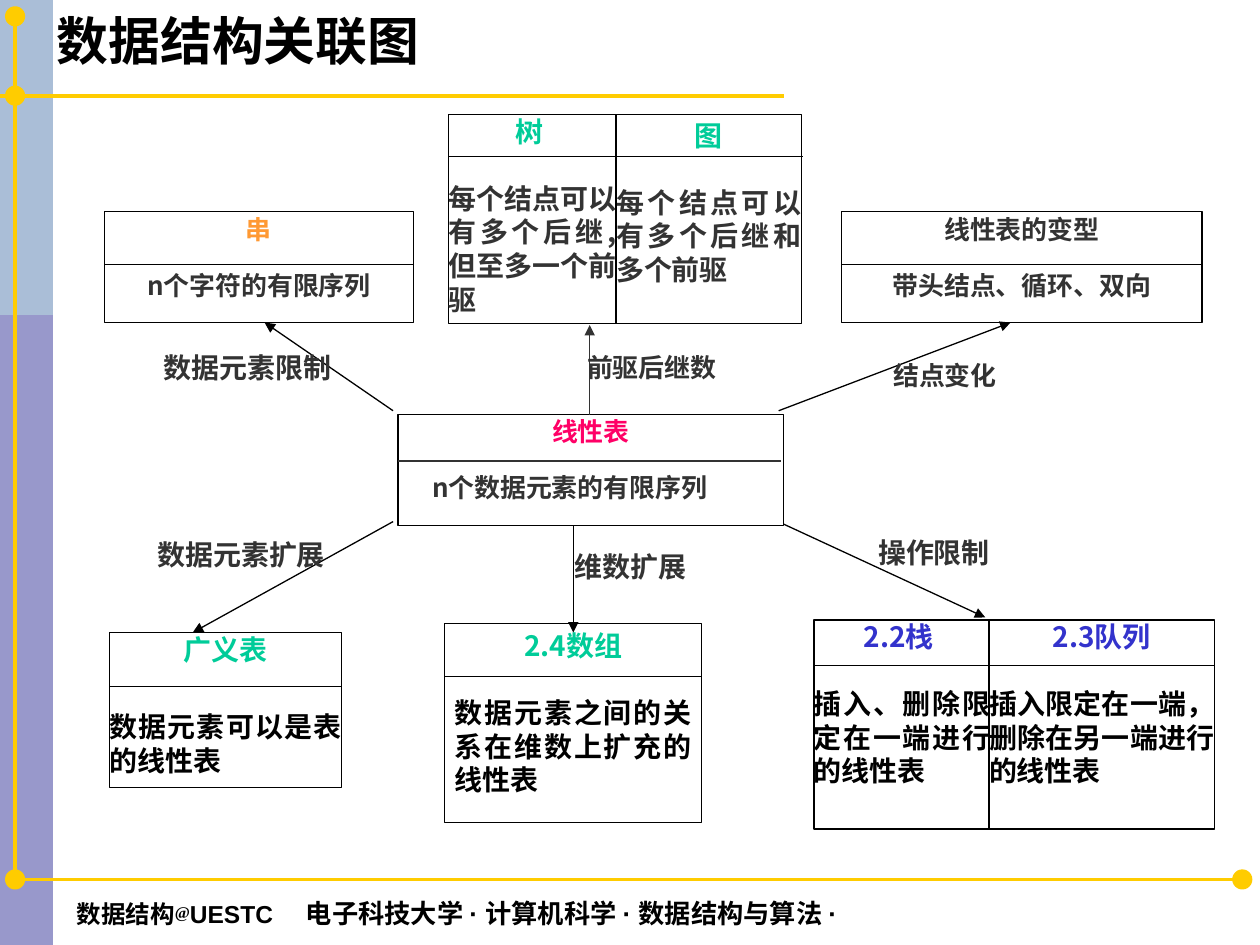
"""Draw the map of how data structures grow out of the linear list."""
from dataclasses import dataclass
from typing import Any, Optional

from lxml import etree
from pptx import Presentation
from pptx.dml.color import RGBColor
from pptx.enum import shapes, text
from pptx.oxml import ns
from pptx.util import Emu, Pt

PX = 9144
CJK, SANS, SERIF = "Noto Sans CJK SC", "Arial", "Times New Roman"
BLACK = RGBColor(0x00, 0x00, 0x00)
WHITE = RGBColor(0xFF, 0xFF, 0xFF)
GRAY = RGBColor(0x33, 0x33, 0x33)
GOLD = RGBColor(0xFF, 0xCC, 0x00)
NAVY = RGBColor(0x33, 0x33, 0x99)
PALE = RGBColor(0xBB, 0xE0, 0xE3)
ORANGE = RGBColor(0xFF, 0x99, 0x33)
GREEN = RGBColor(0x00, 0xCC, 0x99)
BLUE = RGBColor(0x33, 0x33, 0xCC)
PINK = RGBColor(0xFF, 0x00, 0x66)
LEFT, MID = text.PP_ALIGN.LEFT, text.PP_ALIGN.CENTER
RIGHT, JUST = text.PP_ALIGN.RIGHT, text.PP_ALIGN.JUSTIFY
TOP, CORE = text.MSO_ANCHOR.TOP, text.MSO_ANCHOR.MIDDLE
RECT, OVAL = shapes.MSO_SHAPE.RECTANGLE, shapes.MSO_SHAPE.OVAL


@dataclass
class Card:
    """A box with a heading above a body."""
    box: tuple
    head: str
    body: str
    hue: RGBColor
    ink: RGBColor = BLACK
    size: float = 16
    lead: float = 1
    gap: float = 19
    pad: tuple = (0, 0, 0, 0)
    align: Any = JUST
    dent: int = 0


@dataclass
class Label:
    """A caption beside an arrow."""
    box: tuple
    words: str
    size: float = 16
    lead: float = 1
    align: Any = JUST


@dataclass
class Link:
    """A straight line from one point to another."""
    ends: tuple
    hue: RGBColor = BLACK
    width: float = 0.75
    arrow: bool = False


SLIM = (8, 4, 8, 4)
WIDE = (10, 5, 10, 5)
SMALL = {"size": 14.8, "lead": 0.9, "gap": 16, "pad": SLIM, "ink": GRAY}
CARDS = [
    Card((83, 168, 245, 88), "串", "n个字符的有限序列", ORANGE, align=MID, **SMALL),
    Card((668, 168, 286, 88), "线性表的变型", "带头结点、循环、双向", GRAY, align=MID, **SMALL),
    Card((646, 492, 140, 166), "2.2栈 ", "插入、删除限定在一端进行的线性表", BLUE),
    Card((785, 492, 179, 166), "2.3队列", "插入限定在一端，删除在另一端进行的线性表", BLUE),
    Card((353, 495, 204, 158), "2.4数组", "数据元素之间的关系在维数上扩充的线性表", GREEN, pad=SLIM),
    Card((87, 502, 184, 123), "广义表", "数据元素可以是表的线性表", GREEN, gap=25),
    Card((356, 91, 133, 166), "树 ", "每个结点可以有多个后继,但至多一个前驱", GREEN, GRAY),
    Card((489, 91, 147, 166), "图", "每个结点可以有多个后继和多个前驱", GREEN, GRAY, pad=(0, 3, 0, 0)),
    Card((316, 329, 306, 88), "线性表", "n个数据元素的有限序列", PINK, dent=19, **SMALL),
]
LINKS = [
    Link((83, 210, 328, 210)),
    Link((668, 210, 954, 210)),
    Link((646, 528, 964, 528)),
    Link((353, 537, 557, 537)),
    Link((87, 545, 271, 545)),
    Link((356, 124, 637, 124)),
    Link((316, 366, 620, 366), GRAY),
    Link((468, 329, 468, 258), GRAY, arrow=True),
    Link((312, 326, 210, 256), arrow=True),
    Link((618, 326, 802, 256), arrow=True),
    Link((622, 416, 782, 490), arrow=True),
    Link((312, 414, 153, 502), arrow=True),
    Link((455, 417, 455, 502), arrow=True),
]
LABELS = [
    Label((458, 278, 143, 33), "前驱后继数", 14.8, 0.9),
    Label((87, 274, 184, 53), "数据元素限制", align=RIGHT),
    Label((701, 284, 143, 33), "结点变化", 14.8, 0.9),
    Label((689, 421, 143, 42), "操作限制"),
    Label((91, 423, 175, 40), "数据元素扩展", align=RIGHT),
    Label((448, 432, 129, 40), "维数扩展"),
]
FOOT = [
    ("数据结构", 14, SANS), ("@", 16, SERIF), ("UESTC\t", 14, SANS),
    ("电子科技大学 ", 15, CJK), ("· ", 15, SANS), ("计算机科学 ", 15, CJK),
    ("· ", 15, SANS), ("数据结构与算法 ", 15, CJK), ("·", 15, SANS),
]


def put(obj: Any, values: dict) -> None:
    """Set each named value on an object."""
    for name, value in values.items():
        setattr(obj, name, value)


def scale(box: tuple) -> list:
    """Turn px into EMU."""
    return [Emu(n * PX) for n in box]


def setup(frame: Any, pad: tuple, anchor: Any = TOP) -> None:
    """Set wrapping, anchor and margins of a text frame."""
    sides = ("margin_left", "margin_top", "margin_right", "margin_bottom")
    put(frame, {"word_wrap": True, "auto_size": text.MSO_AUTO_SIZE.NONE,
                "vertical_anchor": anchor, **dict(zip(sides, scale(pad)))})


def write(para: Any, words: str, size: float, hue: RGBColor, face: str = CJK) -> Any:
    """Add a bold run to a paragraph."""
    run = para.add_run()
    run.text = words
    put(run.font, {"size": Pt(size), "bold": True, "name": face})
    run.font.color.rgb = hue
    if face == CJK:
        etree.SubElement(run.font._element, ns.qn("a:ea"), typeface=face)
    return run


def shape(slide: Any, kind: Any, box: tuple, hue: RGBColor, alpha: Optional[int] = None) -> Any:
    """Add a filled shape without an outline."""
    item = slide.shapes.add_shape(kind, *scale(box))
    item.shadow.inherit = False
    item.fill.solid()
    item.fill.fore_color.rgb = hue
    item.line.fill.background()
    if alpha:
        color = item._element.spPr.find(".//" + ns.qn("a:srgbClr"))
        etree.SubElement(color, ns.qn("a:alpha"), val=str(alpha * 1000))
    return item


def draw(slide: Any, link: Link) -> None:
    """Add a line, with an arrowhead if asked."""
    item = slide.shapes.add_connector(shapes.MSO_CONNECTOR.STRAIGHT, *scale(link.ends))
    item.line.width = Pt(link.width)
    item.line.color.rgb = link.hue
    if link.arrow:
        etree.SubElement(item.line._get_or_add_ln(), ns.qn("a:tailEnd"), type="triangle")
    etree.SubElement(item._element.spPr, ns.qn("a:effectLst"))


def card(slide: Any, spec: Card) -> None:
    """Add a box with its heading and body."""
    item = shape(slide, RECT, spec.box, WHITE)
    item.line.width = Pt(0.75)
    item.line.color.rgb = BLACK
    frame = item.text_frame
    setup(frame, spec.pad)
    head, body = frame.paragraphs[0], frame.add_paragraph()
    put(head, {"alignment": MID, "line_spacing": spec.lead})
    put(body, {"alignment": spec.align, "line_spacing": spec.lead, "space_before": Pt(spec.gap)})
    if spec.dent:
        body._p.get_or_add_pPr().set("marL", str(spec.dent * PX))
    write(head, spec.head, spec.size, spec.hue)
    write(body, spec.body, spec.size, spec.ink)


def label(slide: Any, spec: Label) -> None:
    """Add a caption."""
    frame = slide.shapes.add_textbox(*scale(spec.box)).text_frame
    setup(frame, SLIM)
    para = frame.paragraphs[0]
    put(para, {"alignment": spec.align, "line_spacing": spec.lead})
    write(para, spec.words, spec.size, GRAY)


def title(slide: Any) -> None:
    """Place and format the title."""
    item = slide.shapes.title
    put(item, dict(zip(("left", "top", "width", "height"), scale((35, 0, 874, 63)))))
    setup(item.text_frame, WIDE, CORE)
    para = item.text_frame.paragraphs[0]
    para.alignment = LEFT
    write(para, "数据结构关联图", 29.6, BLACK, SANS)


def footer(slide: Any) -> None:
    """Add the footer line."""
    frame = slide.shapes.add_textbox(*scale((51, 706, 653, 29))).text_frame
    setup(frame, WIDE)
    para = frame.paragraphs[0]
    tabs = etree.SubElement(para._p.get_or_add_pPr(), ns.qn("a:tabLst"))
    etree.SubElement(tabs, ns.qn("a:tab"), pos=str(182 * PX), algn="l")
    for words, size, face in FOOT:
        run = write(para, words, size, BLACK, face)
        if face == SERIF:
            run.font._element.set("baseline", "20000")


def main() -> None:
    """Build and save the slide."""
    deck = Presentation()
    put(deck, {"slide_width": Emu(1000 * PX), "slide_height": Emu(750 * PX)})
    slide = deck.slides.add_slide(deck.slide_layouts[5])
    shape(slide, RECT, (0, 0, 42, 750), NAVY, 50)
    shape(slide, RECT, (0, 0, 42, 250), PALE, 53)
    for ends in ((20, 698, 988, 698), (0, 76, 622, 76), (12, 698, 12, 13)):
        draw(slide, Link(ends, GOLD, 2))
    for x, y in ((4, 690), (978, 690), (4, 68), (4, 5)):
        shape(slide, OVAL, (x, y, 16, 16), GOLD)
    title(slide)
    footer(slide)
    for draws, items in ((card, CARDS), (draw, LINKS), (label, LABELS)):
        for item in items:
            draws(slide, item)


    deck.save("out.pptx")


if __name__ == "__main__":
    main()
